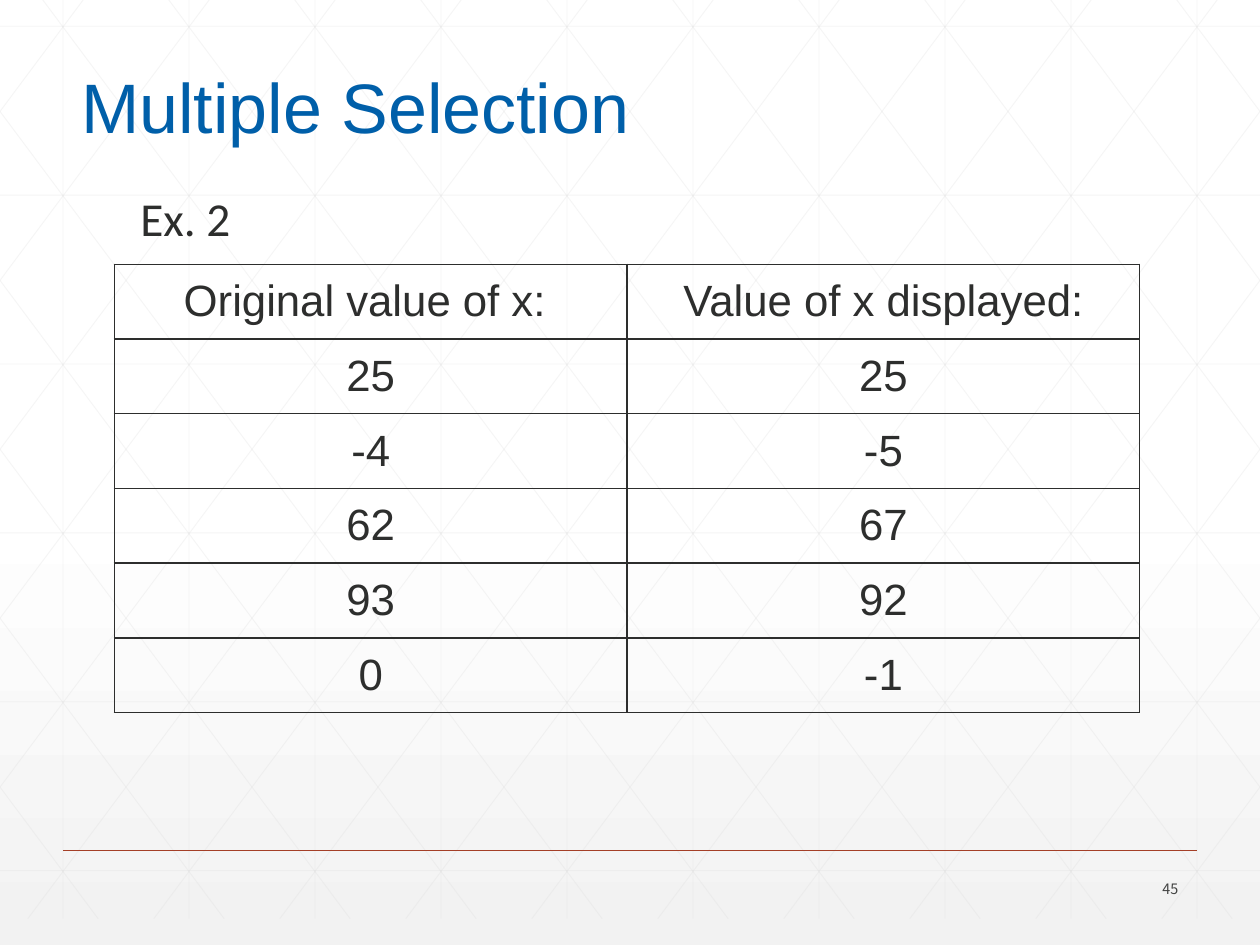
from lxml.etree import SubElement
from pptx import Presentation
from pptx.dml.color import RGBColor
from pptx.enum.shapes import MSO_CONNECTOR as Connector
from pptx.enum.text import MSO_ANCHOR as Anchor, PP_ALIGN as Align
from pptx.oxml import parse_xml
from pptx.oxml.ns import nsdecls, qn
from pptx.util import Pt

WIDTH, HEIGHT = 720, 540
GRID_TOP, GRID_BOTTOM = -15, 525
COLUMN_STEP, ROW_STEP = 72, 96.5
DIAGONAL_START, DIAGONAL_RUN = 13.3, 402.8
ROWS = [
    ("Original value of x: ", "Value of x displayed:"),
    ("25", "25"),
    ("-4", "-5"),
    ("62", "67"),
    ("93", "92"),
    ("0", "-1"),
]


def color(value):
    return RGBColor.from_string(value)


class SlideBuilder:
    """Holds the slide style and draws each kind of element on the page."""

    ink, blue, gray, rust, grid = "2D2E2D", "005FA9", "424342", "A43F27", "D9D9D9"

    def __init__(self, page):
        self.page = page

    def background(self):
        fill = self.page.background.fill
        fill.gradient()
        fill.gradient_angle = 270
        stops = (("FFFFFF", 0.53), ("F2F2F2", 1))
        for stop, (value, position) in zip(fill.gradient_stops, stops):
            stop.color.rgb = color(value)
            stop.position = position

    def line(self, start, end, value, width, opacity=100):
        line = self.page.shapes.add_connector(
            Connector.STRAIGHT, *(Pt(length) for length in (*start, *end)))
        line.line.color.rgb = color(value)
        line.line.width = Pt(width)
        properties = line._element.spPr
        SubElement(properties, qn("a:effectLst"))
        if opacity < 100:
            tint = properties.find(".//" + qn("a:srgbClr"))
            SubElement(tint, qn("a:alpha")).set("val", str(opacity * 1000))

    def grid_line(self, start, end):
        self.line(start, end, self.grid, 0.5, 25)

    def diagonals(self):
        slope = (GRID_BOTTOM - GRID_TOP) / DIAGONAL_RUN
        for index in range(-5, 10):
            top = DIAGONAL_START + COLUMN_STEP * index
            left, right = max(top, 0), min(top + DIAGONAL_RUN, WIDTH)
            upper, lower = (GRID_TOP + (x - top) * slope for x in (left, right))
            self.grid_line((left, upper), (right, lower))
            self.grid_line((WIDTH - left, upper), (WIDTH - right, lower))

    def lattice(self):
        for index in range(10):
            x = 36 + COLUMN_STEP * index
            self.grid_line((x, GRID_TOP), (x, GRID_BOTTOM))
        for index in range(6):
            y = 15 + ROW_STEP * index
            self.grid_line((0, y), (WIDTH, y))
        self.diagonals()

    def style(self, para, font, size, value, align):
        para.alignment = align
        for span in para.runs:
            span.font.name = font
            span.font.size = Pt(size)
            span.font.color.rgb = color(value)

    def text(self, area, text, font, size, value, align=Align.LEFT,
             anchor=Anchor.TOP, insets=(5.4, 5.4), spacing=0.9, indent=0):
        box = self.page.shapes.add_textbox(*(Pt(length) for length in area))
        frame = box.text_frame
        frame.text = text
        frame.word_wrap = True
        frame.vertical_anchor = anchor
        frame.margin_left = frame.margin_right = Pt(insets[0])
        frame.margin_top = frame.margin_bottom = Pt(insets[1])
        para = frame.paragraphs[0]
        para.line_spacing = spacing
        if indent:
            para._p.get_or_add_pPr().set("marL", str(Pt(indent)))
        self.style(para, font, size, value, align)

    def borders(self, cell):
        properties = cell._tc.get_or_add_tcPr()
        for index, side in enumerate("LRTB"):
            properties.insert(index, parse_xml(
                f'<a:ln{side} {nsdecls("a")} w="{Pt(1)}"><a:solidFill>'
                f'<a:srgbClr val="{self.ink}"/></a:solidFill></a:ln{side}>'))

    def table(self, area, rows):
        table = self.page.shapes.add_table(
            len(rows), len(rows[0]), *(Pt(length) for length in area)).table
        table.first_row = table.horz_banding = False
        for row, values in enumerate(rows):
            for column, value in enumerate(values):
                cell = table.cell(row, column)
                cell.text = value
                cell.fill.background()
                cell.vertical_anchor = Anchor.MIDDLE
                self.borders(cell)
                self.style(cell.text_frame.paragraphs[0],
                           "Arial", 25, self.ink, Align.CENTER)


def main():
    deck = Presentation()
    deck.slide_width, deck.slide_height = Pt(WIDTH), Pt(HEIGHT)
    builder = SlideBuilder(deck.slides.add_slide(deck.slide_layouts[6]))
    builder.background()
    builder.lattice()
    builder.line((36, 486), (684, 486), builder.rust, 1)
    builder.text((626.4, 499, 54, 17.3), "45", "Noto Sans CJK TC", 8.2,
                 builder.gray, Align.RIGHT, Anchor.MIDDLE, (7.2, 0), 1)
    builder.text((41, 37.4, 342, 51.1), "Multiple Selection", "Arial", 40,
                 builder.blue, anchor=Anchor.BOTTOM, insets=(5.4, 3.6))
    builder.table((65.3, 151, 586, 256.2), ROWS)
    builder.text((44.6, 106.6, 690.5, 419.8), "Ex. 2", "Calibri", 27,
                 builder.ink, indent=30.2)
    deck.save("out.pptx")


if __name__ == "__main__":
    main()
